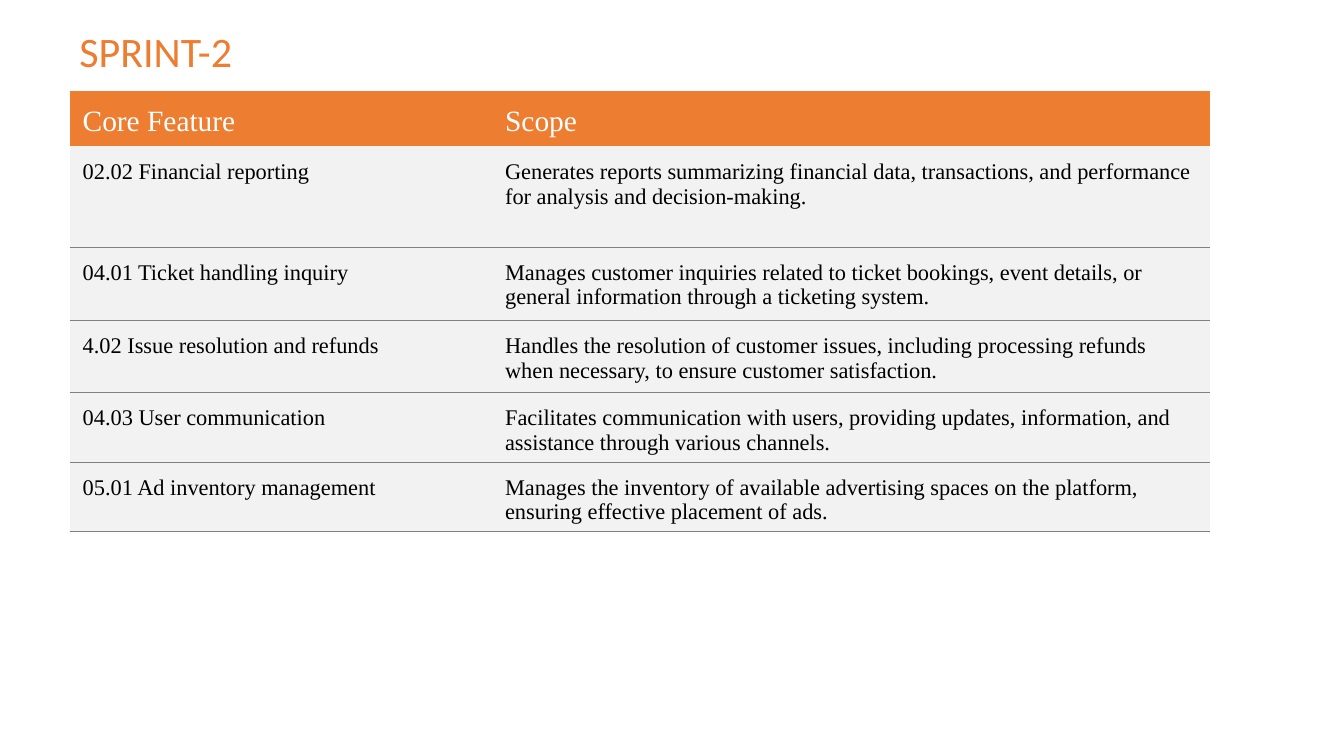
"""Build the SPRINT-2 slide with its table of core features and scopes."""
from dataclasses import dataclass

import lxml.etree
import pptx
import pptx.dml.color
import pptx.enum.text
import pptx.oxml.ns
import pptx.util

Inches = pptx.util.Inches
RGBColor = pptx.dml.color.RGBColor
ORANGE = RGBColor(0xED, 0x7D, 0x31)
PALE_GRAY = RGBColor(0xF2, 0xF2, 0xF2)
RULE_GRAY = RGBColor(0x80, 0x80, 0x80)
WHITE = RGBColor(0xFF, 0xFF, 0xFF)
BLACK = RGBColor(0, 0, 0)

TITLE_FONT = {"name": "Calibri", "size": pptx.util.Pt(30)}
HEADER_FONT = {"name": "Times New Roman", "size": pptx.util.Pt(21), "bold": False}
BODY_FONT = {"name": "Times New Roman", "size": pptx.util.Pt(16), "bold": False}
CELL_MARGINS = {
    "margin_left": Inches(0.13),
    "margin_right": Inches(0.13),
    "margin_top": Inches(0.13),
    "margin_bottom": Inches(0.07),
}
COLUMN_WIDTHS = (4.19, 7.12)


@dataclass(frozen=True)
class Feature:
    name: str
    scope: str
    height: float


HEADER = Feature("Core Feature", "Scope", 0.55)
FEATURES = (
    Feature(
        "02.02 Financial reporting",
        "Generates reports summarizing financial data, transactions, and performance "
        "for analysis and decision-making.",
        1.0,
    ),
    Feature(
        "04.01 Ticket handling inquiry",
        "Manages customer inquiries related to ticket bookings, event details, or "
        "general information through a ticketing system.",
        0.73,
    ),
    Feature(
        "4.02 Issue resolution and refunds",
        "Handles the resolution of customer issues, including processing refunds "
        "when necessary, to ensure customer satisfaction.",
        0.71,
    ),
    Feature(
        "04.03 User communication",
        "Facilitates communication with users, providing updates, information, and "
        "assistance through various channels.",
        0.69,
    ),
    Feature(
        "05.01 Ad inventory management",
        "Manages the inventory of available advertising spaces on the platform, "
        "ensuring effective placement of ads.",
        0.69,
    ),
)


def apply_format(target: object, values: dict) -> None:
    """Set every attribute named in the format values."""
    for name, value in values.items():
        setattr(target, name, value)


def write_text(frame: pptx.text.text.TextFrame, text: str, font: dict, color: RGBColor) -> None:
    """Write one formatted span into a text frame."""
    span = frame.paragraphs[0].add_run()
    span.text = text
    apply_format(span.font, font)
    span.font.color.rgb = color


def set_borders(cell: pptx.table._Cell, ruled_sides: str) -> None:
    """Draw gray rules on the given sides and clear the others."""
    qn = pptx.oxml.ns.qn
    properties = cell._tc.get_or_add_tcPr()
    for position, side in enumerate("LRTB"):
        line = lxml.etree.Element(qn(f"a:ln{side}"), w=str(pptx.util.Pt(0.75)))
        if side in ruled_sides:
            fill = lxml.etree.SubElement(line, qn("a:solidFill"))
            lxml.etree.SubElement(fill, qn("a:srgbClr"), val=str(RULE_GRAY))
        else:
            lxml.etree.SubElement(line, qn("a:noFill"))
        properties.insert(position, line)


def add_title(page: pptx.slide.Slide) -> None:
    """Add the sprint title."""
    box = page.shapes.add_textbox(Inches(0.69), Inches(0.2), Inches(6.67), Inches(0.6))
    box.text_frame.word_wrap = True
    write_text(box.text_frame, "SPRINT-2", TITLE_FONT, ORANGE)


def add_feature_table(page: pptx.slide.Slide) -> None:
    """Add the header row and one row for each feature."""
    rows = (HEADER, *FEATURES)
    table = page.shapes.add_table(
        len(rows), len(COLUMN_WIDTHS), Inches(0.69), Inches(0.9),
        Inches(sum(COLUMN_WIDTHS)), Inches(sum(row.height for row in rows)),
    ).table
    table.horz_banding = False
    for column, width in zip(table.columns, COLUMN_WIDTHS):
        column.width = Inches(width)
    for index, feature in enumerate(rows):
        is_header = feature is HEADER
        table.rows[index].height = Inches(feature.height)
        for cell, text in zip(table.rows[index].cells, (feature.name, feature.scope)):
            apply_format(cell, CELL_MARGINS)
            anchors = pptx.enum.text.MSO_ANCHOR
            cell.vertical_anchor = anchors.MIDDLE if is_header else anchors.TOP
            cell.fill.solid()
            cell.fill.fore_color.rgb = ORANGE if is_header else PALE_GRAY
            set_borders(cell, "" if is_header else "B" if index == 1 else "TB")
            write_text(
                cell.text_frame, text,
                HEADER_FONT if is_header else BODY_FONT,
                WHITE if is_header else BLACK,
            )


def main() -> None:
    """Create and save the deck."""
    deck = pptx.Presentation()
    apply_format(deck, {"slide_width": Inches(13.33), "slide_height": Inches(7.5)})
    page = deck.slides.add_slide(deck.slide_layouts[6])
    add_feature_table(page)
    add_title(page)
    deck.save("out.pptx")


if __name__ == "__main__":
    main()
